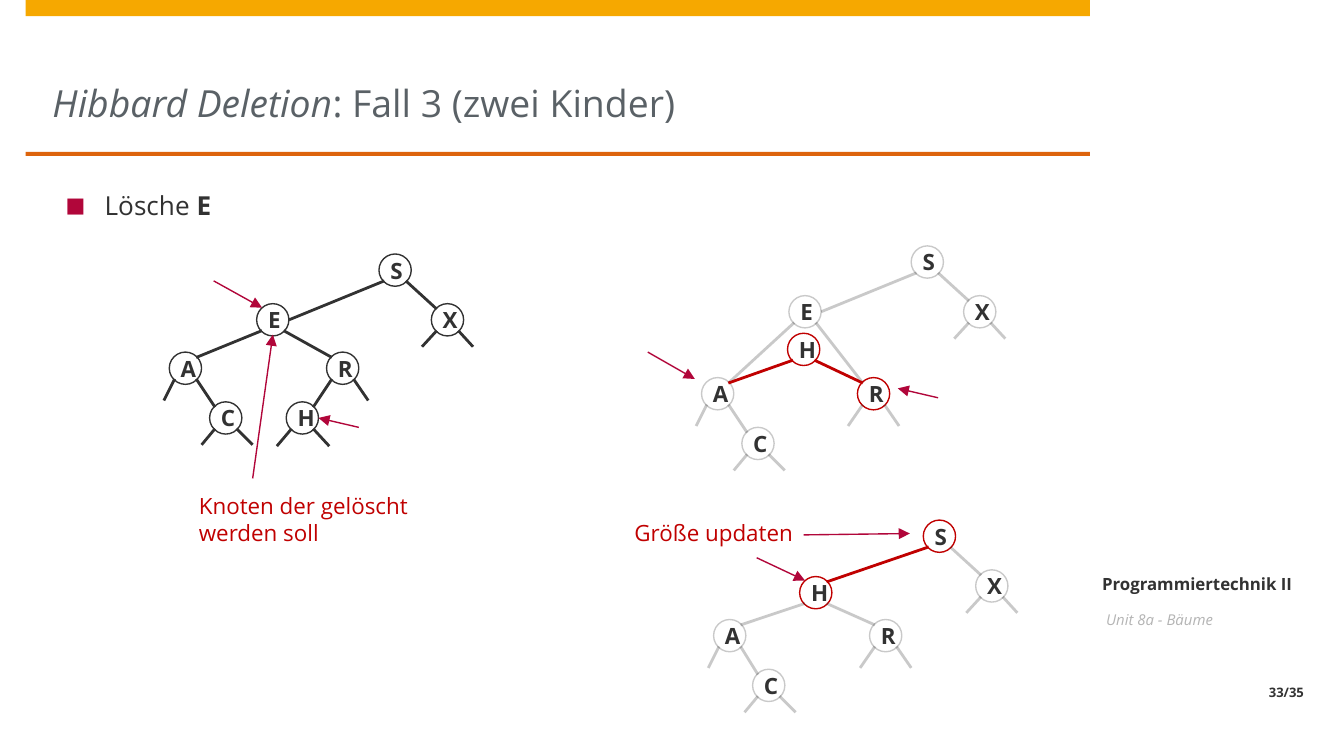
from dataclasses import dataclass

from lxml import etree
from pptx import Presentation
from pptx.dml.color import RGBColor
from pptx.enum.shapes import MSO_CONNECTOR, MSO_SHAPE
from pptx.enum.text import MSO_ANCHOR, PP_ALIGN
from pptx.oxml.ns import qn
from pptx.util import Inches, Pt

RECT, CIRCLE = MSO_SHAPE.RECTANGLE, MSO_SHAPE.OVAL
STRAIGHT = MSO_CONNECTOR.STRAIGHT
TOP, MIDDLE, BOTTOM = MSO_ANCHOR.TOP, MSO_ANCHOR.MIDDLE, MSO_ANCHOR.BOTTOM
LEFT, CENTER, RIGHT = PP_ALIGN.LEFT, PP_ALIGN.CENTER, PP_ALIGN.RIGHT


@dataclass(frozen=True)
class Theme:
    font: str = "Open Sans"
    ink: str = "323232"
    title: str = "5A6166"
    pale: str = "B4B4B4"
    red: str = "C00000"
    arrow: str = "B1063A"
    bar: str = "F6A800"
    rule: str = "DD640C"
    title_size: int = 20
    body_size: int = 14
    label_size: int = 12
    course_size: int = 9
    unit_size: int = 8
    number_size: int = 7
    edge_width: float = 1.5
    thin_width: float = 0.75


theme = Theme()


def write(shape, spans, size, color, margins, anchor=MIDDLE, align=LEFT, wrap=True):
    """Fill a shape with one paragraph; spans are (text, bold, italic)."""
    frame = shape.text_frame
    frame.word_wrap = wrap
    frame.vertical_anchor = anchor
    (frame.margin_left, frame.margin_top,
     frame.margin_right, frame.margin_bottom) = map(Inches, margins)
    para = frame.paragraphs[0]
    para.text = spans[0][0]
    for text, _, _ in spans[1:]:
        para.add_run().text = text
    para.alignment = align
    for span, (_, bold, italic) in zip(para.runs, spans):
        span.font.name = theme.font
        span.font.size = Pt(size)
        span.font.color.rgb = RGBColor.from_string(color)
        span.font.bold, span.font.italic = bold, italic
    for line_break in para._p.findall(qn("a:br")):
        etree.SubElement(line_break, qn("a:rPr"), sz=str(size * 100))
    return para


def stroke(shape, color, width, faded):
    """Colour an outline, at 25 % opacity when faded; return its XML."""
    shape.line.color.rgb = RGBColor.from_string(color)
    shape.line.width = Pt(width)
    outline = shape.element.spPr.find(qn("a:ln"))
    if faded:
        tint = outline.find(".//" + qn("a:srgbClr"))
        etree.SubElement(tint, qn("a:alpha"), val="25000")
    return outline


deck = Presentation()
deck.slide_width = Inches(10)
deck.slide_height = deck.slide_width * 9 // 16
page = deck.slides.add_slide(deck.slide_layouts[6])

# Top bar and title rule
for top, height, color in [(0, 0.12, theme.bar), (1.13, 0.03, theme.rule)]:
    bar = page.shapes.add_shape(RECT, Inches(0.19), Inches(top), Inches(7.92), Inches(height))
    bar.shadow.inherit = False
    bar.fill.solid()
    bar.fill.fore_color.rgb = RGBColor.from_string(color)
    bar.line.fill.background()

# Title and side column
side = (0.12, 0, 0.1, 0.05)
texts = [
    ((0.39, 0.12, 7.52, 1.01),
     [("Hibbard Deletion", False, True), (": Fall 3 (zwei Kinder)", False, False)],
     theme.title_size, theme.title, (0, 0, 0, 0.2), BOTTOM, LEFT),
    ((8.11, 3.9, 1.69, 0.57), [("Programmiertechnik II", True, False)],
     theme.course_size, theme.ink, (0, 0, 0.1, 0.05), BOTTOM, CENTER),
    ((8.11, 4.54, 1.69, 0.52), [("Unit 8a - Bäume", False, True)],
     theme.unit_size, theme.pale, side, TOP, LEFT),
    ((8.11, 5.06, 1.69, 0.2), [("33/35", True, False)],
     theme.number_size, theme.ink, side, BOTTOM, RIGHT),
]
for place, *content in texts:
    write(page.shapes.add_textbox(*map(Inches, place)), *content)

# Task with a square bullet
task = page.shapes.add_textbox(Inches(0.39), Inches(1.36), Inches(7.52), Inches(0.51))
para = write(task, [("Lösche ", False, False), ("E", True, False)],
             theme.body_size, theme.ink, (0.1, 0.05, 0.1, 0.05), TOP)
layout = para._p.get_or_add_pPr()
layout.set("marL", str(Inches(0.29)))
layout.set("indent", str(-Inches(0.29)))
bullet_color = etree.SubElement(layout, qn("a:buClr"))
etree.SubElement(bullet_color, qn("a:srgbClr"), val=theme.arrow)
etree.SubElement(layout, qn("a:buSzPct"), val="80000")
etree.SubElement(layout, qn("a:buFont"), typeface=theme.font)
etree.SubElement(layout, qn("a:buChar"), char="■")

# Trees: node corners, parent-child edges, and what is marked red
trees = [
    dict(nodes={"S": (2.82, 1.89), "X": (3.21, 2.26), "E": (1.91, 2.26), "R": (2.43, 2.62),
                "H": (2.13, 2.99), "A": (1.26, 2.62), "C": (1.56, 2.99)},
         edges=["SE", "SX", "EA", "ER", "RH", "AC"], red=[], faded=False),
    dict(nodes={"S": (6.78, 1.83), "X": (7.17, 2.2), "E": (5.87, 2.2), "R": (6.38, 2.81),
                "H": (5.86, 2.48), "A": (5.22, 2.81), "C": (5.52, 3.18)},
         edges=["SE", "SX", "EA", "ER", "AC", "HA", "HR"],
         red=["R", "H", "HA", "HR"], faded=True),
    dict(nodes={"S": (6.87, 3.87), "X": (7.26, 4.24), "R": (6.47, 4.61),
                "H": (5.95, 4.29), "A": (5.31, 4.61), "C": (5.6, 4.98)},
         edges=["SH", "SX", "HA", "HR", "AC"], red=["S", "H", "SH"], faded=True),
]
# Open branches per label: left reach, right reach, drop
stubs = {"X": (0.11, 0.11, 0.12), "C": (0.1, 0.12, 0.12), "H": (0.11, 0.12, 0.13),
         "A": (0.08, 0.12, 0.16), "R": (0.11, 0.11, 0.16)}
radius, corner = 0.12, 0.08
segments = []  # start, end, colour, width, faded, arrowhead

for tree in trees:
    nodes = {label: (x + radius, y + radius) for label, (x, y) in tree["nodes"].items()}
    taken = set()
    for edge in tree["edges"]:
        (x1, y1), (x2, y2) = nodes[edge[0]], nodes[edge[1]]
        way = -1 if x2 < x1 else 1
        taken.add((edge[0], way))
        end = (x2 + radius, y2) if edge == "SE" else (x2 - way * corner, y2 - corner)
        red = edge in tree["red"]
        segments.append(((x1 + way * corner, y1 + corner), end,
                         theme.red if red else theme.ink, theme.edge_width,
                         tree["faded"] and not red, False))

    for label, (x, y) in nodes.items():
        circle = page.shapes.add_shape(CIRCLE, Inches(x - radius), Inches(y - radius),
                                       Inches(2 * radius), Inches(2 * radius))
        circle.shadow.inherit = False
        circle.fill.background()
        red = label in tree["red"]
        stroke(circle, theme.red if red else theme.ink, theme.thin_width,
               tree["faded"] and not red)
        write(circle, [(label, True, False)], theme.label_size, theme.ink,
              (0.12, 0.08, 0.12, 0.08), align=CENTER)
        # Each side without a child gets an open branch
        for way in (-1, 1):
            if (label, way) not in taken:
                left_reach, right_reach, drop = stubs[label]
                reach = left_reach if way < 0 else right_reach
                start = (x + way * corner, y + corner)
                segments.append((start, (start[0] + way * reach, start[1] + drop),
                                 theme.ink, theme.edge_width, tree["faded"], False))

# Pointers
pointers = [
    ((1.88, 3.56), (2.03, 2.49)), ((1.59, 2.09), (1.95, 2.29)),
    ((2.67, 3.18), (2.37, 3.11)), ((4.82, 2.62), (5.17, 2.82)),
    ((6.98, 2.96), (6.68, 2.89)), ((5.98, 3.98), (6.77, 3.97)),
    ((5.63, 4.15), (5.99, 4.32)),
]
segments += [(start, end, theme.arrow, theme.thin_width, False, True)
             for start, end in pointers]

# Draw edges, open branches and pointers
for start, end, color, width, faded, arrowhead in segments:
    link = page.shapes.add_connector(STRAIGHT, *map(Inches, start + end))
    outline = stroke(link, color, width, faded)
    if arrowhead:
        etree.SubElement(outline, qn("a:tailEnd"), type="triangle")
    etree.SubElement(link.element.spPr, qn("a:effectLst"))

# Captions
captions = [(1.48, 3.72, 1.7, ["Knoten der gelöscht\v", "werden soll"]),
            (4.72, 3.82, 1.25, ["Größe updaten"])]
for left, top, width, lines in captions:
    caption = page.shapes.add_textbox(Inches(left), Inches(top), Inches(width), Inches(0.29))
    write(caption, [(line, False, False) for line in lines],
          theme.label_size, theme.red, (0, 0, 0, 0), wrap=False)

deck.save("out.pptx")
